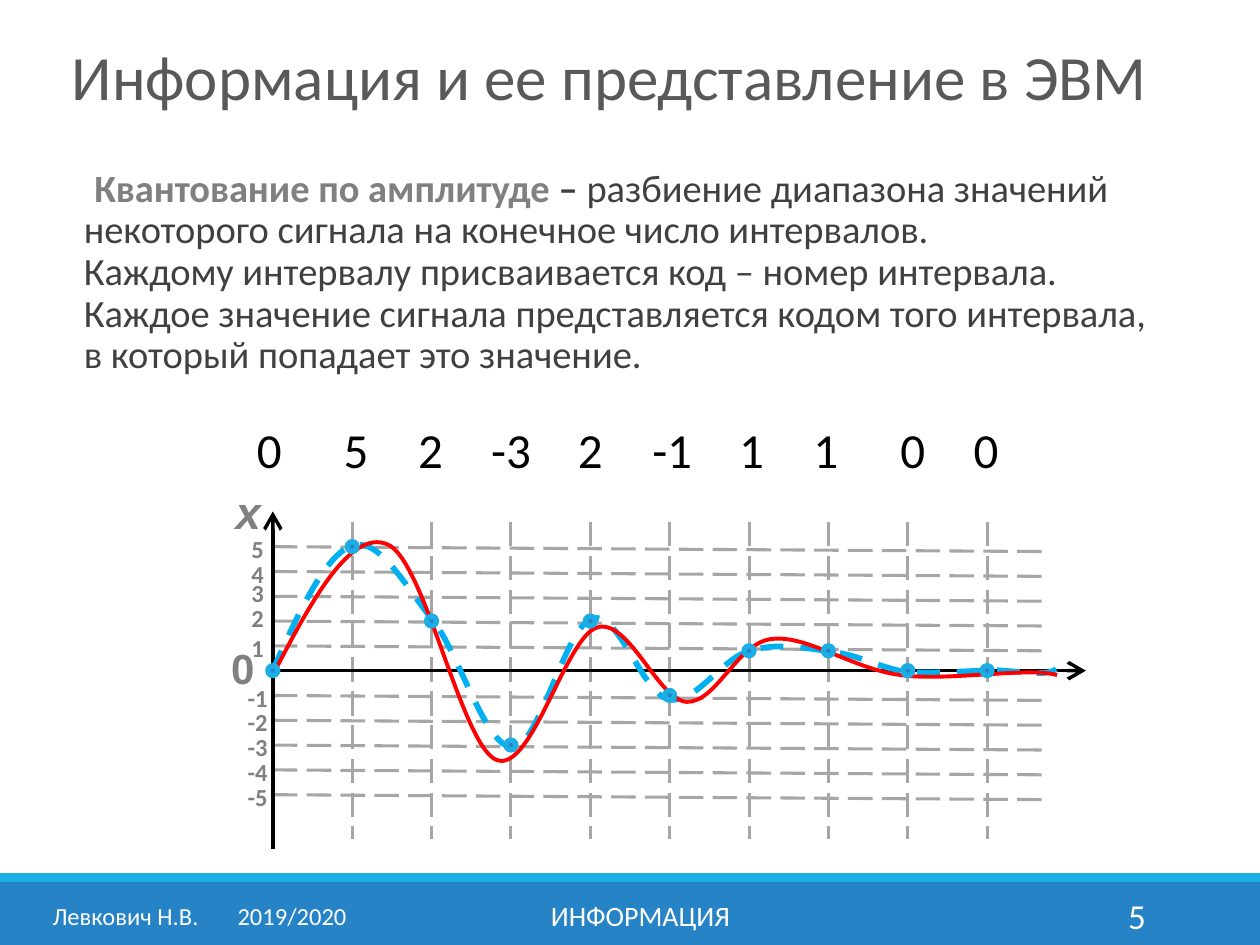
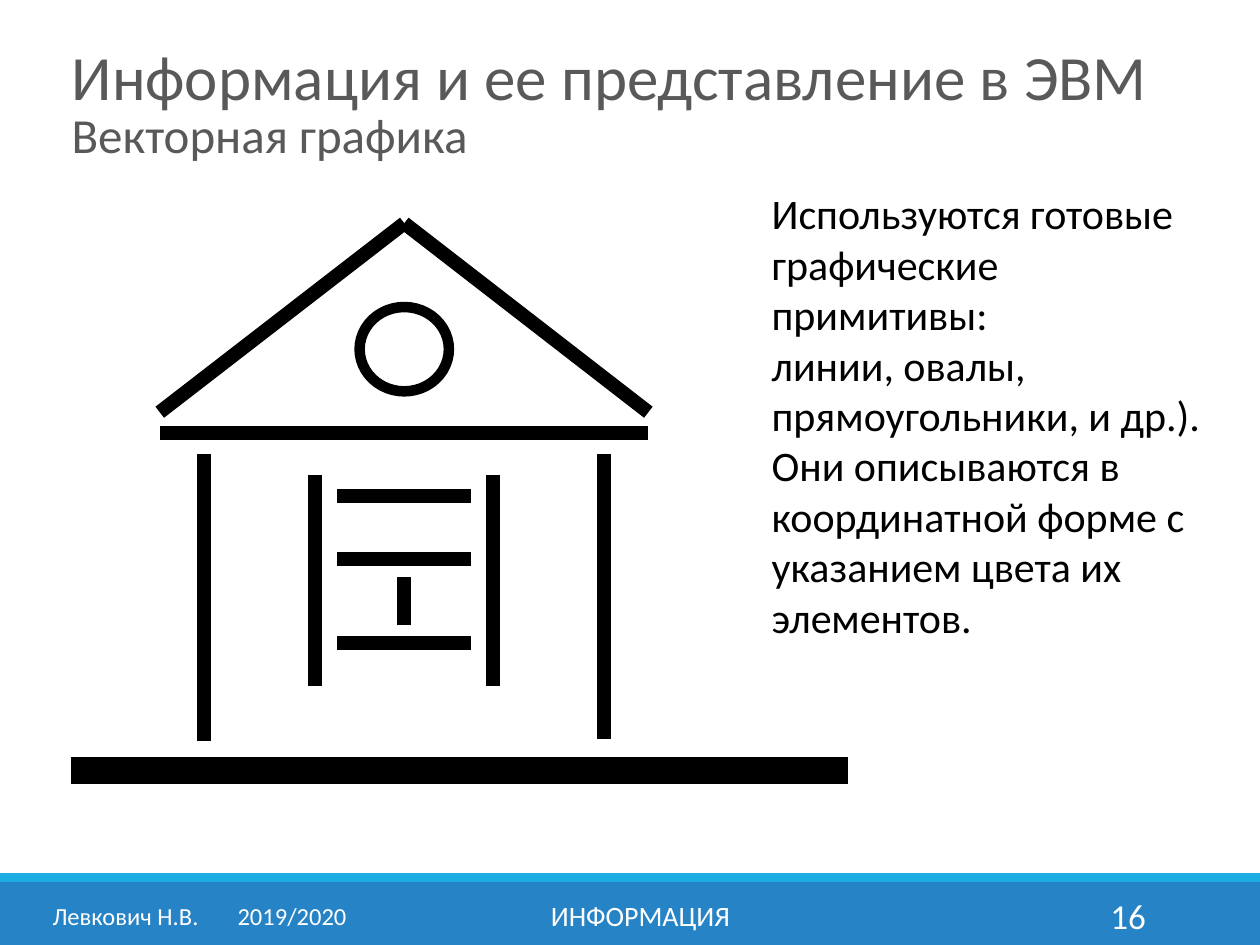
import pptx
import pptx.dml.color
import pptx.dml.fill
import pptx.enum.dml
import pptx.enum.shapes
import pptx.enum.text
import pptx.oxml.ns
import pptx.shapes.connector
import pptx.util
from lxml import etree

Cm = pptx.util.Cm
Pt = pptx.util.Pt
qn = pptx.oxml.ns.qn
Align = pptx.enum.text.PP_ALIGN
Anchor = pptx.enum.text.MSO_ANCHOR
Shapes = pptx.enum.shapes.MSO_SHAPE
STRAIGHT = pptx.enum.shapes.MSO_CONNECTOR.STRAIGHT
Dash = pptx.enum.dml.MSO_LINE

BLUE, SKY, WHITE, BLACK = "2683C6", "1CADE4", "FFFFFF", "000000"
GRAY, GRID_GRAY, TITLE_GRAY, TEXT_GRAY = "808080", "A6A6A6", "595959", "404040"


def paint(target, color, width=None):
    """Colour a fill, a line or a font; width is for lines, in points."""
    if isinstance(target, pptx.dml.fill.FillFormat):
        target.solid()
        target.fore_color.rgb = pptx.dml.color.RGBColor.from_string(color)
    else:
        target.color.rgb = pptx.dml.color.RGBColor.from_string(color)
    if width:
        target.width = Pt(width)


def write_text(shape, text, size=14, color=BLACK, bold=False, italic=False,
               font="Calibri", align=Align.LEFT, anchor=None, margins=None,
               spacing=None, before=0, after=0, indent=None, tabs=(), new_paragraph=False):
    """Append formatted text to the shape's last paragraph, or to a new one."""
    frame = shape.text_frame
    frame.word_wrap = True
    frame.auto_size = pptx.enum.text.MSO_AUTO_SIZE.NONE
    if anchor is not None:
        frame.vertical_anchor = anchor
    if margins:
        frame.margin_left = frame.margin_right = Cm(margins[0])
        frame.margin_top = frame.margin_bottom = Cm(margins[1])
    paragraph = frame.add_paragraph() if new_paragraph else frame.paragraphs[-1]
    if not paragraph.runs:
        paragraph.alignment = align
        paragraph.line_spacing = spacing
        paragraph.space_before, paragraph.space_after = Pt(before), Pt(after)
        properties = paragraph._p.get_or_add_pPr()
        if indent is not None:
            properties.set("marL", "0")
            properties.set("indent", str(Cm(indent)))
            etree.SubElement(properties, qn("a:buNone"))
        if tabs:
            tab_list = etree.SubElement(properties, qn("a:tabLst"))
            for position in tabs:
                etree.SubElement(tab_list, qn("a:tab"), pos=str(Cm(position)), algn="l")
    for number, line in enumerate(text.split("\n")):
        if number:
            paragraph.add_line_break()
        run = paragraph.add_run()
        run.text = line
        run.font.name, run.font.size = font, Pt(size)
        run.font.bold, run.font.italic = bold, italic
        paint(run.font, color)


presentation = pptx.Presentation()
presentation.slide_width, presentation.slide_height = Cm(25.4), Cm(19.05)

# Shared parts: bands, title, body position, footers
slide_plans = [
    ("5", 2.03, (1.69, 3.28, 23.01, 4.9)),
    ("16", 3.05, (15.3, 3.66, 9.25, 9.5)),
]
for slide_number, title_height, body_box in slide_plans:
    slide = presentation.slides.add_slide(presentation.slide_layouts[1])
    for top, height, color in [(17.78, 1.27, BLUE), (17.6, 0.18, SKY)]:
        band = slide.shapes.add_shape(Shapes.RECTANGLE, 0, Cm(top), Cm(25.4), Cm(height))
        paint(band.fill, color)
        band.line.fill.background()

    title, body = slide.placeholders
    title_box = (1.19, 0.62, 23.6, title_height)
    for placeholder, box in [(title, title_box), (body, body_box)]:
        placeholder.left, placeholder.top, placeholder.width, placeholder.height = map(Cm, box)
    write_text(title, "Информация и ее представление в ЭВМ", size=36, color=TITLE_GRAY,
               spacing=0.85, anchor=Anchor.MIDDLE)

    for text, left, width, size, align, tabs in [
        ("Левкович Н.В.\t2019/2020", 0.81, 6.63, 14, Align.LEFT, [3.73]),
        ("ИНФОРМАЦИЯ", 7.68, 10.46, 16, Align.CENTER, []),
        (slide_number, 20.61, 2.74, 20, Align.RIGHT, []),
    ]:
        footer = slide.shapes.add_textbox(Cm(left), Cm(17.95), Cm(width), Cm(1.02))
        write_text(footer, text, size=size, color=WHITE, align=align, tabs=tabs,
                   anchor=Anchor.MIDDLE)

quantization_slide, vector_slide = presentation.slides

# Quantization: definition
body = quantization_slide.placeholders[1]
write_text(body, "Квантование по амплитуде ", size=22, color=GRAY, bold=True,
           spacing=0.9, before=12, after=2, indent=0.21, margins=(0, 0.13))
write_text(body, "– ", size=22, color=TEXT_GRAY, bold=True)
write_text(body, "разбиение диапазона значений некоторого сигнала на конечное число интервалов.\n"
           "Каждому интервалу присваивается код – номер интервала.\n"
           "Каждое значение сигнала представляется кодом того интервала,\n"
           "в который попадает это значение.", size=22, color=TEXT_GRAY)

# Quantization: grid and axes
origin_x, origin_y = 5.5, 13.52
sample_step, level_step = 1.6, 0.5
levels = [level for level in range(-5, 6) if level]
grid_lines = [(origin_x, origin_y - level_step * level, 21.11, origin_y - level_step * level + 0.1)
              for level in levels]
grid_lines += [(origin_x + sample_step * column, 10.52, origin_x + sample_step * column, 16.92)
               for column in range(1, 10)]
for ends in grid_lines:
    grid_line = quantization_slide.shapes.add_connector(STRAIGHT, *map(Cm, ends))
    paint(grid_line.line, GRID_GRAY, 1.75)
    grid_line.line.dash_style = Dash.LONG_DASH

for ends in [(origin_x, origin_y, 21.89, origin_y), (origin_x, 17.12, origin_x, 10.31)]:
    axis = quantization_slide.shapes.add_connector(STRAIGHT, *map(Cm, ends))
    paint(axis.line, BLACK, 2)
    etree.SubElement(axis.line._get_or_add_ln(), qn("a:tailEnd"), type="arrow", w="lg", len="lg")

# Quantization: quantized and analogue signals, each a start and Bezier triples
quantized_signal = [
    (5.49, 13.54), (6.02, 12.34), (6.58, 11.15), (7.11, 11.0),
    (7.65, 10.82), (8.2, 11.86), (8.74, 12.52), (9.27, 13.21), (9.8, 15.09), (10.34, 15.06),
    (10.87, 15.06), (11.4, 12.62), (11.94, 12.47), (12.47, 12.29), (12.95, 14.0), (13.49, 14.1),
    (14.02, 14.2), (14.55, 13.28), (15.09, 13.13), (15.62, 12.95), (16.21, 13.06), (16.71, 13.13),
    (17.25, 13.18), (17.73, 13.46), (18.24, 13.54), (18.77, 13.59), (19.89, 13.51), (19.89, 13.51),
    (20.37, 13.49), (21.06, 13.67), (21.29, 13.49),
]
analogue_signal = [
    (5.51, 13.59), (6.27, 12.12), (7.06, 10.67), (7.8, 10.97),
    (8.56, 11.25), (9.3, 15.04), (10.01, 15.32), (10.72, 15.6), (11.4, 12.83), (12.04, 12.65),
    (12.67, 12.45), (13.26, 14.1), (13.84, 14.15), (14.45, 14.17), (14.86, 12.95), (15.57, 12.88),
    (16.28, 12.8), (17.2, 13.49), (18.16, 13.61), (19.1, 13.74), (20.75, 13.44), (21.31, 13.61),
]
for signal, color, width, dash in [(quantized_signal, "00B0F0", 3.25, Dash.DASH),
                                   (analogue_signal, "FF0000", 2.25, None)]:
    points = [(Cm(x), Cm(y)) for x, y in signal]
    builder = quantization_slide.shapes.build_freeform(*points[0])
    builder.add_line_segments(points[3::3], close=False)
    curve = builder.convert_to_shape()
    # Turn each straight segment into a Bezier segment with its two control points
    for number, segment in enumerate(list(curve._element.iter(qn("a:lnTo")))):
        segment.tag = qn("a:cubicBezTo")
        for position, (x, y) in enumerate(points[3 * number + 1:3 * number + 3]):
            control = etree.Element(qn("a:pt"), x=str(x - curve.left), y=str(y - curve.top))
            segment.insert(position, control)
    curve.fill.background()
    paint(curve.line, color, width)
    curve.line.dash_style = dash

# Quantization: sample points
for column, height in enumerate([0, 5, 2, -3, 2, -1, 0.8, 0.8, 0, 0]):
    dot = quantization_slide.shapes.add_shape(
        Shapes.OVAL, Cm(origin_x + sample_step * column - 0.1),
        Cm(origin_y - level_step * height - 0.1), Cm(0.2), Cm(0.2))
    paint(dot.fill, BLUE)
    paint(dot.line, SKY, 3)

# Quantization: axis labels and codes
for level in levels:
    nudge = 0.1 if level in (2, 3) else 0
    label = quantization_slide.shapes.add_textbox(
        Cm(4.6), Cm(origin_y - 0.29 - level_step * level - nudge), Cm(1.19), Cm(0.99))
    write_text(label, str(level), color=GRAY, bold=True, align=Align.CENTER, margins=(0.03, 0.03))

for text, left, top, size, italic, align in [("0", 4.3, 12.93, 24, False, Align.CENTER),
                                             ("x", 4.72, 9.73, 26, True, Align.LEFT)]:
    label = quantization_slide.shapes.add_textbox(Cm(left), Cm(top), Cm(1.19), Cm(1))
    write_text(label, text, size=size, color=GRAY, bold=True, italic=italic, font="Arial",
               align=align, margins=(0.03, 0.03))

codes = quantization_slide.shapes.add_textbox(Cm(2.69), Cm(8.33), Cm(22.1), Cm(1.45))
write_text(codes, "\t0\t5\t2\t-3\t2\t-1\t1\t1\t0\t0", size=28,
           tabs=[2.24, 3.99, 5.49, 6.96, 8.71, 10.21, 11.96, 13.46, 15.21, 16.69])

# Vector graphics: subtitle and explanation
write_text(vector_slide.shapes.title, "Векторная графика", size=28, color=TITLE_GRAY,
           spacing=0.85, new_paragraph=True)
write_text(vector_slide.placeholders[1],
           "Используются готовые графические примитивы:\n"
           "линии, овалы, прямоугольники, и др.). Они описываются в координатной форме "
           "с указанием цвета их элементов.", size=24, before=12, indent=0)

# Vector graphics: house made of lines and an oval
house_lines = [
    (4.11, 9.15, 4.11, 14.94), (12.17, 9.15, 12.17, 14.9),   # walls
    (3.22, 8.73, 13.07, 8.73),                               # beam
    (8.15, 4.5, 3.22, 8.31), (8.15, 4.5, 13.07, 8.31),       # roof
    (6.35, 9.58, 6.35, 13.82), (9.93, 9.58, 9.93, 13.82),    # shutters
    (8.15, 11.63, 8.15, 12.6),                               # window post
]
house_lines += [(6.8, y, 9.49, y) for y in (10, 11.27, 12.97)]
ground = (1.43, 15.53, 17.1, 15.53)
for ends in [ground, *house_lines]:
    house_line = vector_slide.shapes.add_connector(STRAIGHT, *map(Cm, ends))
    paint(house_line.line, BLACK, 15.25 if ends == ground else 8)

attic_window = vector_slide.shapes.add_shape(Shapes.OVAL, Cm(7.25), Cm(6.19), Cm(1.8), Cm(1.7))
paint(attic_window.fill, WHITE)
paint(attic_window.line, BLACK, 6)

# No shadows anywhere
for slide in presentation.slides:
    for shape in slide.shapes:
        if isinstance(shape, pptx.shapes.connector.Connector):
            etree.SubElement(shape._element.spPr, qn("a:effectLst"))
        else:
            shape.shadow.inherit = False

presentation.save("out.pptx")
